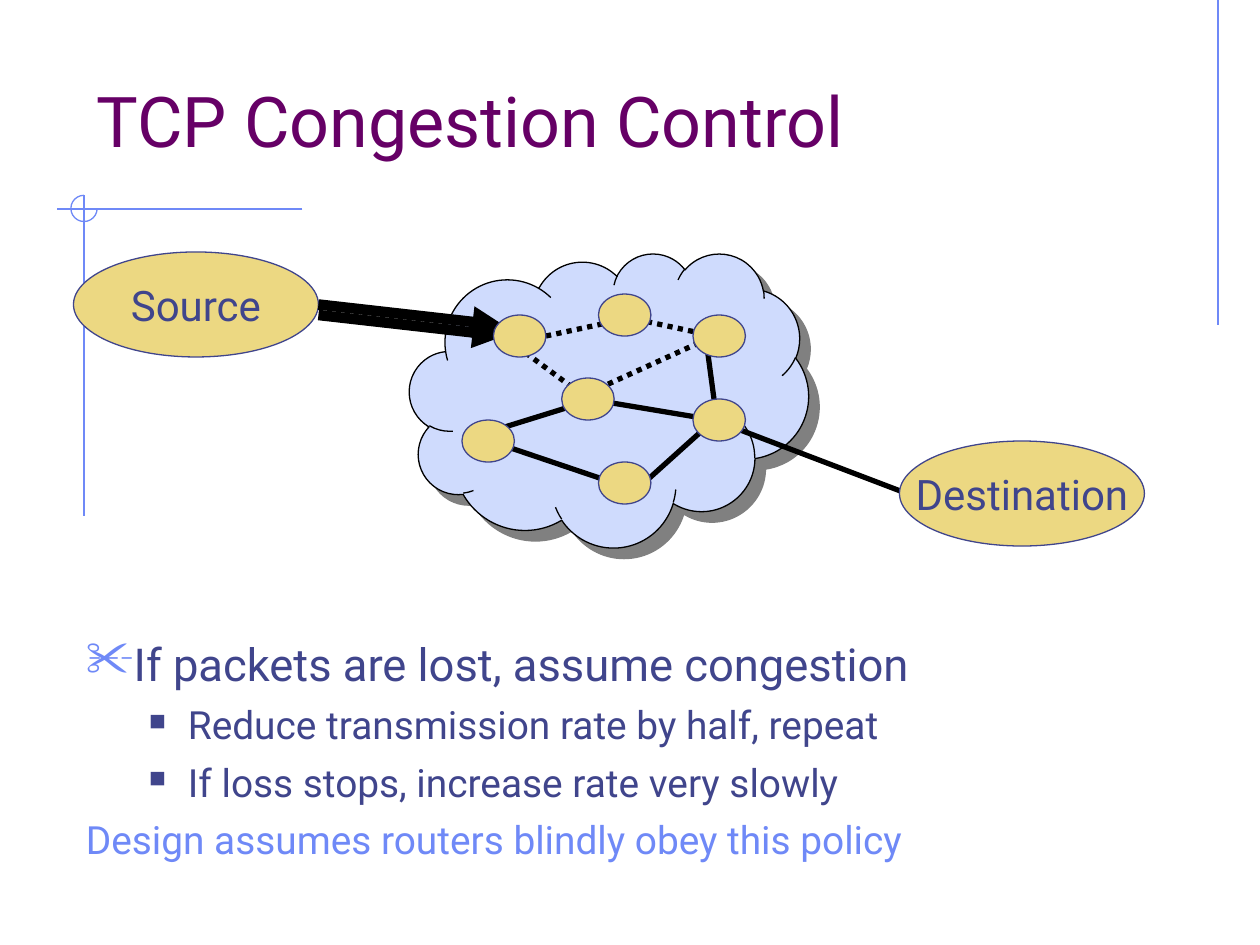
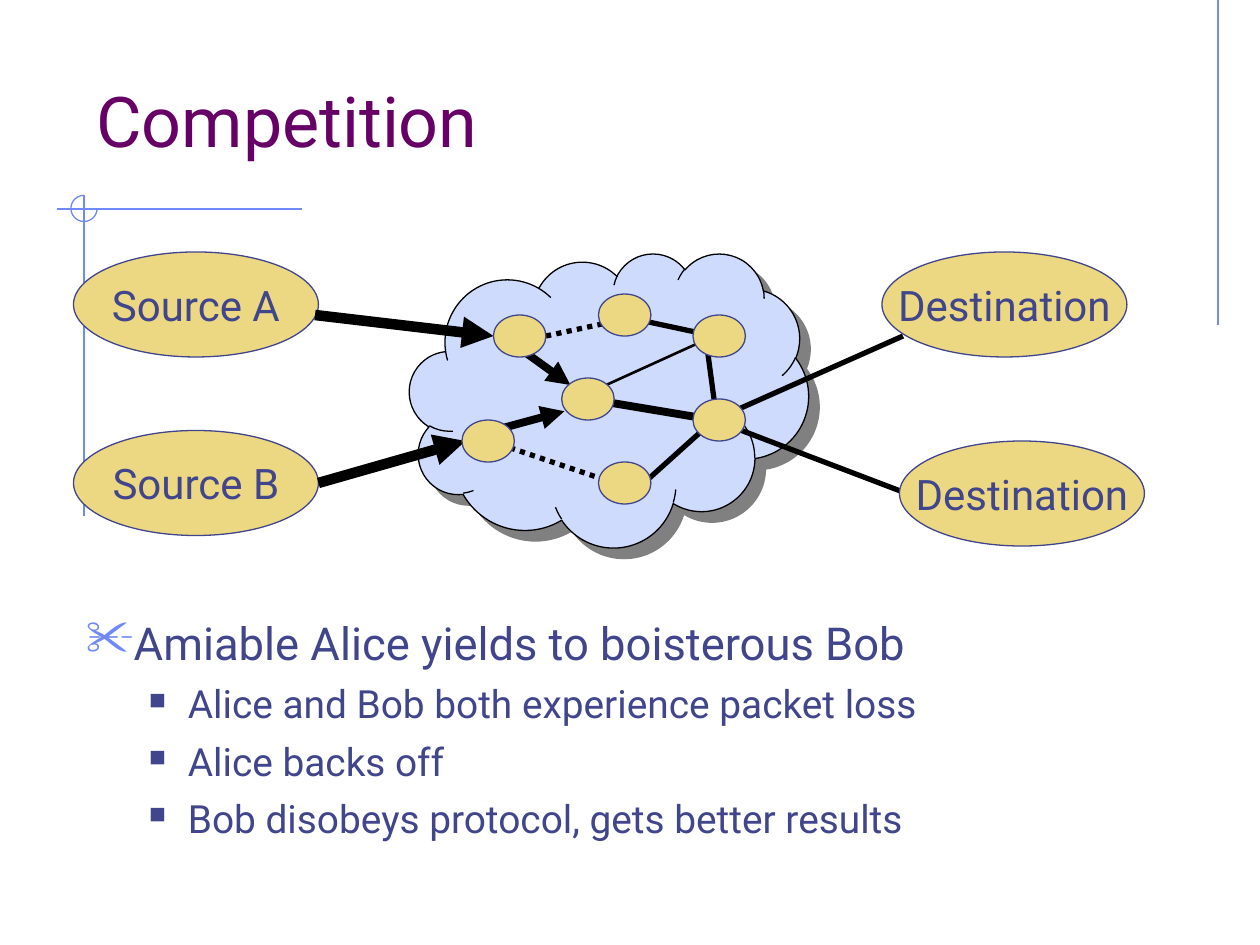
"""Builds two slides on congestion control: a router network above a short bullet list."""
from lxml import etree
from pptx import Presentation
from pptx import util as u
from pptx.dml.color import RGBColor
from pptx.enum import dml, shapes, text
from pptx.oxml import ns

FONT = "Roboto"
TITLE, INK, ACCENT = "660066", "40458C", "6F89F7"
NODE, CLOUD, SHADOW, BLACK = "ECD882", "CFDBFD", "808080", "000000"

COLUMNS = 120
WIDTH, HEIGHT = u.Inches(10), u.Inches(7.5)
CELL = WIDTH / COLUMNS

TITLE_BOX = (8, 4, 102, 12)
CLOUD_BOX = (39, 24.1, 38, 28)
RULES = [(116, 0, 116, 31), (28.8, 19.9, 5.4, 19.9), (8, 18.6, 8, 49.1)]
CORNER_ARC = (6.75, 18.6, 2.5, 2.5)
ROUTER_SIZE, HOST_SIZE = (5, 4), (23.33, 10)
ROUTERS = [(57, 44), (44, 40), (53.5, 36), (66, 38), (66, 30), (57, 28), (47, 30)]

ROUTES = {
    "entry-top": (52, 32, 61.33, 30),
    "entry-hub": (49.25, 33, 56, 38),
    "entry-hub edge": (49.25, 33, 54.33, 36.67),
    "west-south": (46.67, 42, 58.5, 46),
    "west-hub": (47, 41, 56.67, 38),
    "west-hub edge": (47, 41, 53.75, 39.17),
    "exit-lower host": (68, 40, 89, 48),
    "exit-upper host": (68, 40, 86, 32),
    "hub-exit": (56, 38, 68, 40),
    "hub-east": (57, 37, 68, 32),
    "top-east": (58.67, 30, 68, 32),
    "east-exit": (67.33, 33, 68, 38),
    "south-exit": (61.33, 46, 68, 40),
    "source upper": (30.33, 29, 48, 31),
    "source lower": (30.33, 30, 48, 32),
    "source A": (30, 30, 47, 32),
    "source B": (30.33, 46, 44.33, 42),
}

STYLES = {
    "flood": (6, False, True),
    "flow": (4.5, False, True),
    "busy": (4.5, False, False),
    "link": (3, False, False),
    "thin": (1.5, False, False),
    "idle": (3, True, False),
}

PARAGRAPHS = {
    "main": dict(size=25.9, color=INK, bullet="✂", bullet_color=ACCENT, percent=110,
                 indent=0.38, hang=0.38, level=0),
    "sub": dict(size=22.2, color=INK, bullet="■", bullet_color=INK, percent=60,
                indent=0.81, hang=0.31, level=1),
    "remark": dict(size=22.2, color=ACCENT, bullet=None, indent=0.38, hang=0.38, level=0),
}

SLIDES = [
    {
        "title": "TCP Congestion Control",
        "sources": [("Source", 7, 24)],
        "destinations": [("Destination", 85.67, 42)],
        "links": {
            "idle": ["entry-top", "entry-hub", "hub-east", "top-east"],
            "link": ["west-south", "west-hub", "exit-lower host", "hub-exit",
                     "east-exit", "south-exit"],
            "flood": ["source upper", "source lower"],
        },
        "body_box": (7, 60, 107, 26),
        "body": [
            ("main", "If packets are lost, assume congestion"),
            ("sub", "Reduce transmission rate by half, repeat"),
            ("sub", "If loss stops, increase rate very slowly"),
            ("remark", "Design assumes routers blindly obey this policy"),
        ],
    },
    {
        "title": "Competition",
        "sources": [("Source A", 7, 24), ("Source B", 7, 41)],
        "destinations": [("Destination", 84, 24), ("Destination", 85.67, 42)],
        "links": {
            "flood": ["source A", "source B"],
            "idle": ["entry-top", "west-south"],
            "flow": ["entry-hub edge", "west-hub edge"],
            "link": ["exit-lower host", "exit-upper host", "top-east",
                     "east-exit", "south-exit"],
            "busy": ["hub-exit"],
            "thin": ["hub-east"],
        },
        "body_box": (7, 58, 113, 26),
        "body": [
            ("main", "Amiable Alice yields to boisterous Bob"),
            ("sub", "Alice and Bob both experience packet loss"),
            ("sub", "Alice backs off"),
            ("sub", "Bob disobeys protocol, gets better results"),
        ],
    },
]


def rgb(value):
    return RGBColor.from_string(value)


def grid(values):
    return [u.Emu(round(value * CELL)) for value in values]


def add_element(parent, tag, **attributes):
    return etree.SubElement(parent, ns.qn(tag), attributes)


def format_runs(paragraph, size, color):
    for run in paragraph.runs:
        run.font.name = FONT
        run.font.size = u.Pt(size)
        run.font.color.rgb = rgb(color)


def add_line(slide, ends, color, width, dotted=False, arrow=False):
    connector = slide.shapes.add_connector(shapes.MSO_CONNECTOR.STRAIGHT, *grid(ends))
    connector.line.color.rgb = rgb(color)
    connector.line.width = u.Pt(width)
    if dotted:
        connector.line.dash_style = dml.MSO_LINE.ROUND_DOT
    if arrow:
        add_element(connector.line._get_or_add_ln(), "a:tailEnd", type="triangle")
    add_element(connector._element.spPr, "a:effectLst")


def add_outlined(slide, kind, box, fill, line):
    shape = slide.shapes.add_shape(kind, *grid(box))
    shape.shadow.inherit = False
    if fill:
        shape.fill.solid()
        shape.fill.fore_color.rgb = rgb(fill)
    else:
        shape.fill.background()
    shape.line.color.rgb = rgb(line)
    shape.line.width = u.Pt(0.75)
    return shape


def add_oval(slide, box):
    return add_outlined(slide, shapes.MSO_SHAPE.OVAL, box, NODE, INK)


def add_host(slide, label, left, top):
    frame = add_oval(slide, (left, top, *HOST_SIZE)).text_frame
    frame.text = label
    frame.word_wrap = False
    frame.vertical_anchor = text.MSO_ANCHOR.MIDDLE
    frame.paragraphs[0].alignment = text.PP_ALIGN.CENTER
    format_runs(frame.paragraphs[0], 24, INK)


def add_cloud(slide):
    cloud = add_outlined(slide, shapes.MSO_SHAPE.CLOUD, CLOUD_BOX, CLOUD, BLACK)
    effects = cloud._element.spPr.find(ns.qn("a:effectLst"))
    shadow = add_element(effects, "a:outerShdw", blurRad="0", dist=str(u.Pt(8.5)),
                         dir=str(45 * 60000), algn="ctr", rotWithShape="0")
    add_element(shadow, "a:srgbClr", val=SHADOW)


def add_text_box(slide, box):
    frame = slide.shapes.add_textbox(*grid(box)).text_frame
    frame.word_wrap = True
    return frame


def add_frame(slide, title):
    for ends in RULES:
        add_line(slide, ends, ACCENT, 0.75)
    arc = add_outlined(slide, shapes.MSO_SHAPE.ARC, CORNER_ARC, None, ACCENT)
    arc.adjustments[0] = 0
    arc.adjustments[1] = 270 * 0.6
    frame = add_text_box(slide, TITLE_BOX)
    frame.vertical_anchor = text.MSO_ANCHOR.BOTTOM
    frame.text = title
    format_runs(frame.paragraphs[0], 40, TITLE)


def add_body(slide, box, lines):
    frame = add_text_box(slide, box)
    frame.text = "\n".join(line for _, line in lines)
    for number, (paragraph, (kind, _)) in enumerate(zip(frame.paragraphs, lines)):
        style = PARAGRAPHS[kind]
        paragraph.level = style["level"]
        paragraph.space_before = u.Pt(6 if number else 0)
        properties = paragraph._p.get_or_add_pPr()
        properties.set("marL", str(u.Inches(style["indent"])))
        properties.set("indent", str(-u.Inches(style["hang"])))
        if style["bullet"]:
            color = add_element(properties, "a:buClr")
            add_element(color, "a:srgbClr", val=style["bullet_color"])
            add_element(properties, "a:buSzPct", val=str(style["percent"] * 1000))
            add_element(properties, "a:buChar", char=style["bullet"])
        else:
            add_element(properties, "a:buNone")
        format_runs(paragraph, style["size"], style["color"])


def add_network(slide, content):
    add_cloud(slide)
    for host in content["sources"]:
        add_host(slide, *host)
    for style, routes in content["links"].items():
        for route in routes:
            add_line(slide, ROUTES[route], BLACK, *STYLES[style])
    for corner in ROUTERS:
        add_oval(slide, (*corner, *ROUTER_SIZE))
    for host in content["destinations"]:
        add_host(slide, *host)


def main():
    presentation = Presentation()
    presentation.slide_width, presentation.slide_height = WIDTH, HEIGHT
    for content in SLIDES:
        slide = presentation.slides.add_slide(presentation.slide_layouts[6])
        add_frame(slide, content["title"])
        add_body(slide, content["body_box"], content["body"])
        add_network(slide, content)
    presentation.save("out.pptx")


if __name__ == "__main__":
    main()
